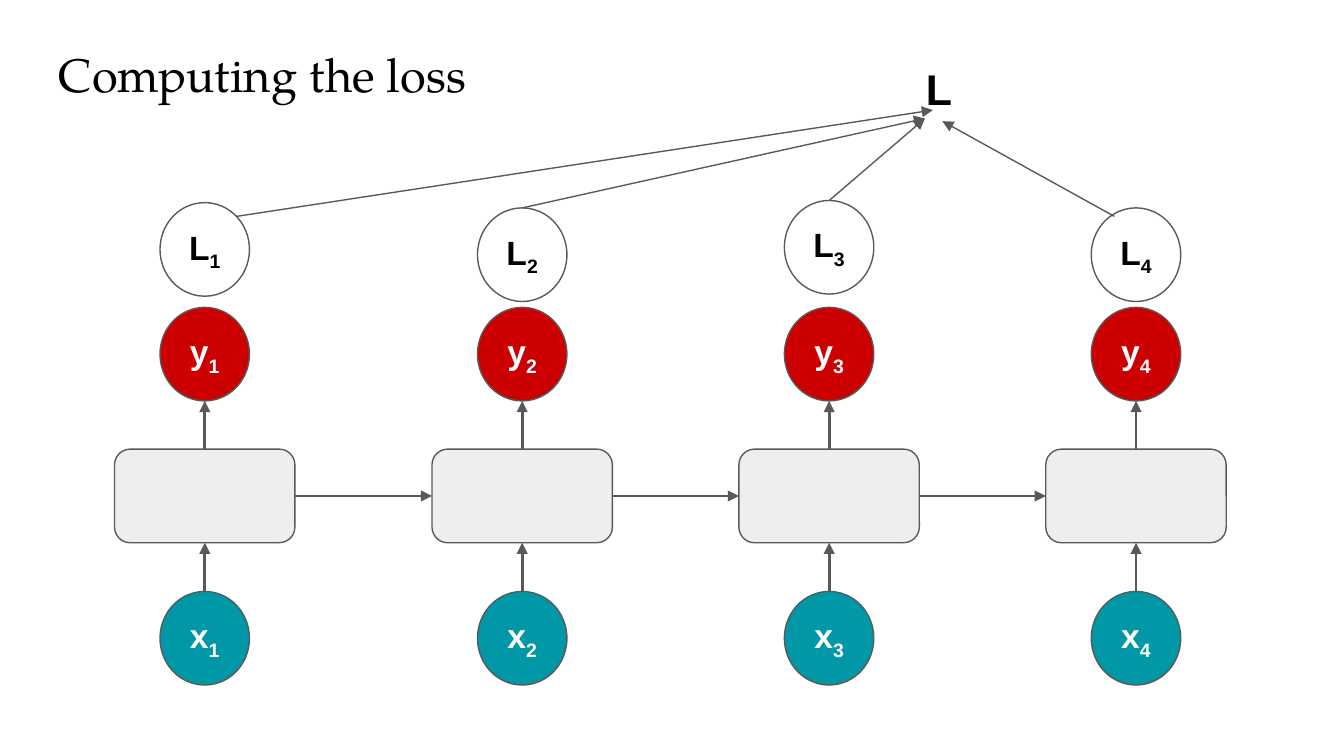
from dataclasses import dataclass

from lxml.etree import SubElement
from pptx import Presentation
from pptx.dml.color import RGBColor
from pptx.enum.shapes import MSO_CONNECTOR as Connector, MSO_SHAPE as Preset
from pptx.enum.text import MSO_ANCHOR as Anchor, PP_ALIGN as Align
from pptx.oxml.ns import qn
from pptx.util import Cm, Pt


@dataclass(frozen=True)
class Theme:
    black: str = "000000"
    white: str = "FFFFFF"
    outline: str = "595959"
    input_fill: str = "0097A7"
    output_fill: str = "CC0000"
    cell_fill: str = "EEEEEE"
    title_font: str = "TeX Gyre Pagella"
    body_font: str = "Arial"
    title_size: float = 25.2
    total_size: float = 23
    label_size: float = 18
    thin: float = 0.75
    thick: float = 1.5


THEME = Theme()

# All lengths are in centimetres.
CENTERS = [3.87, 9.87, 15.67, 21.47]
NODE_WIDTH, NODE_HEIGHT = 1.69, 1.77
CELL_WIDTH, CELL_HEIGHT = 3.41, 1.77
OUTPUT_TOP, CELL_TOP, INPUT_TOP = 5.81, 8.49, 11.18
LOSS_TOPS = [3.83, 3.93, 3.79, 3.93]
LOSS_ARROWS = [
    ((4.47, 4.09), (17.63, 2.08)),
    ((9.87, 3.93), (17.48, 2.24)),
    ((15.67, 3.79), (17.48, 2.24)),
    ((21.06, 4.09), (17.81, 2.29)),
]


def write_text(shape, text, *, subscript="", size=THEME.label_size,
               font=THEME.body_font, color=THEME.black, bold=True,
               align=Align.LEFT, anchor=Anchor.TOP):
    frame = shape.text_frame
    frame.word_wrap = True
    frame.vertical_anchor = anchor
    frame.margin_left = frame.margin_right = Cm(0.25)
    frame.margin_top = frame.margin_bottom = Cm(0.25)
    paragraph = frame.paragraphs[0]
    paragraph.alignment = align
    for part, baseline in ((text, None), (subscript, "-25000")):
        if not part:
            continue
        run = paragraph.add_run()
        run.text = part
        run.font.name = font
        run.font.size = Pt(size)
        run.font.bold = bold
        run.font.color.rgb = RGBColor.from_string(color)
        if baseline:
            run._r.get_or_add_rPr().set("baseline", baseline)


def add_label(slide, text, left, top, width, height, **text_format):
    box = slide.shapes.add_textbox(Cm(left), Cm(top), Cm(width), Cm(height))
    write_text(box, text, **text_format)


def add_outlined(slide, preset, center, top, width, height, fill):
    shape = slide.shapes.add_shape(
        preset, Cm(center - width / 2), Cm(top), Cm(width), Cm(height))
    shape.shadow.inherit = False
    shape.fill.solid()
    shape.fill.fore_color.rgb = RGBColor.from_string(fill)
    shape.line.color.rgb = RGBColor.from_string(THEME.outline)
    shape.line.width = Pt(THEME.thin)
    return shape


def add_node(slide, letter, index, center, top, fill, color):
    node = add_outlined(slide, Preset.OVAL, center, top,
                        NODE_WIDTH, NODE_HEIGHT, fill)
    write_text(node, letter, subscript=str(index), color=color,
               align=Align.CENTER, anchor=Anchor.MIDDLE)


def add_arrow(slide, start, end, width=THEME.thick):
    arrow = slide.shapes.add_connector(
        Connector.STRAIGHT, *(Cm(value) for value in (*start, *end)))
    arrow.line.color.rgb = RGBColor.from_string(THEME.outline)
    arrow.line.width = Pt(width)
    SubElement(arrow.line._get_or_add_ln(), qn("a:tailEnd"), type="triangle")
    SubElement(arrow._element.spPr, qn("a:effectLst"))


def add_time_step(slide, index, center, loss_top):
    """Draw one column: input, recurrent cell, output and its loss."""
    add_node(slide, "x", index, center, INPUT_TOP, THEME.input_fill, THEME.white)
    add_node(slide, "y", index, center, OUTPUT_TOP, THEME.output_fill, THEME.white)
    add_node(slide, "L", index, center, loss_top, THEME.white, THEME.black)
    add_outlined(slide, Preset.ROUNDED_RECTANGLE, center, CELL_TOP,
                 CELL_WIDTH, CELL_HEIGHT, THEME.cell_fill)
    add_arrow(slide, (center, INPUT_TOP), (center, CELL_TOP + CELL_HEIGHT))
    add_arrow(slide, (center, CELL_TOP), (center, OUTPUT_TOP + NODE_HEIGHT))


def main():
    presentation = Presentation()
    presentation.slide_width, presentation.slide_height = Cm(25.4), Cm(14.29)
    slide = presentation.slides.add_slide(presentation.slide_layouts[6])

    add_label(slide, "Computing the loss", 0.86, 0.61, 23.67, 1.6,
              size=THEME.title_size, font=THEME.title_font, bold=False)
    for index, (center, loss_top) in enumerate(zip(CENTERS, LOSS_TOPS), start=1):
        add_time_step(slide, index, center, loss_top)

    middle = CELL_TOP + CELL_HEIGHT / 2
    for center, following in zip(CENTERS, CENTERS[1:]):
        add_arrow(slide, (center + CELL_WIDTH / 2, middle),
                  (following - CELL_WIDTH / 2, middle))
    for start, end in LOSS_ARROWS:
        add_arrow(slide, start, end, THEME.thin)
    add_label(slide, "L", 17.25, 0.94, 1.8, 0.91, size=THEME.total_size)

    presentation.save("out.pptx")


if __name__ == "__main__":
    main()
